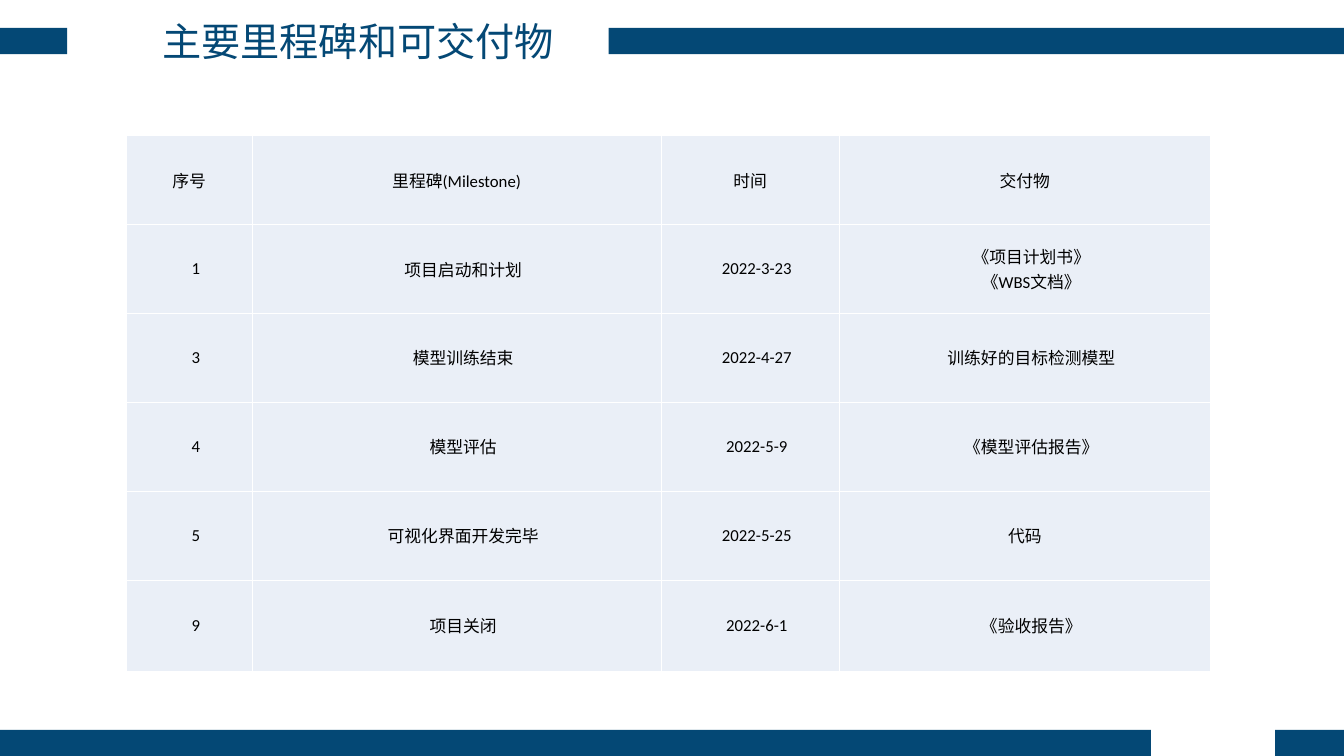
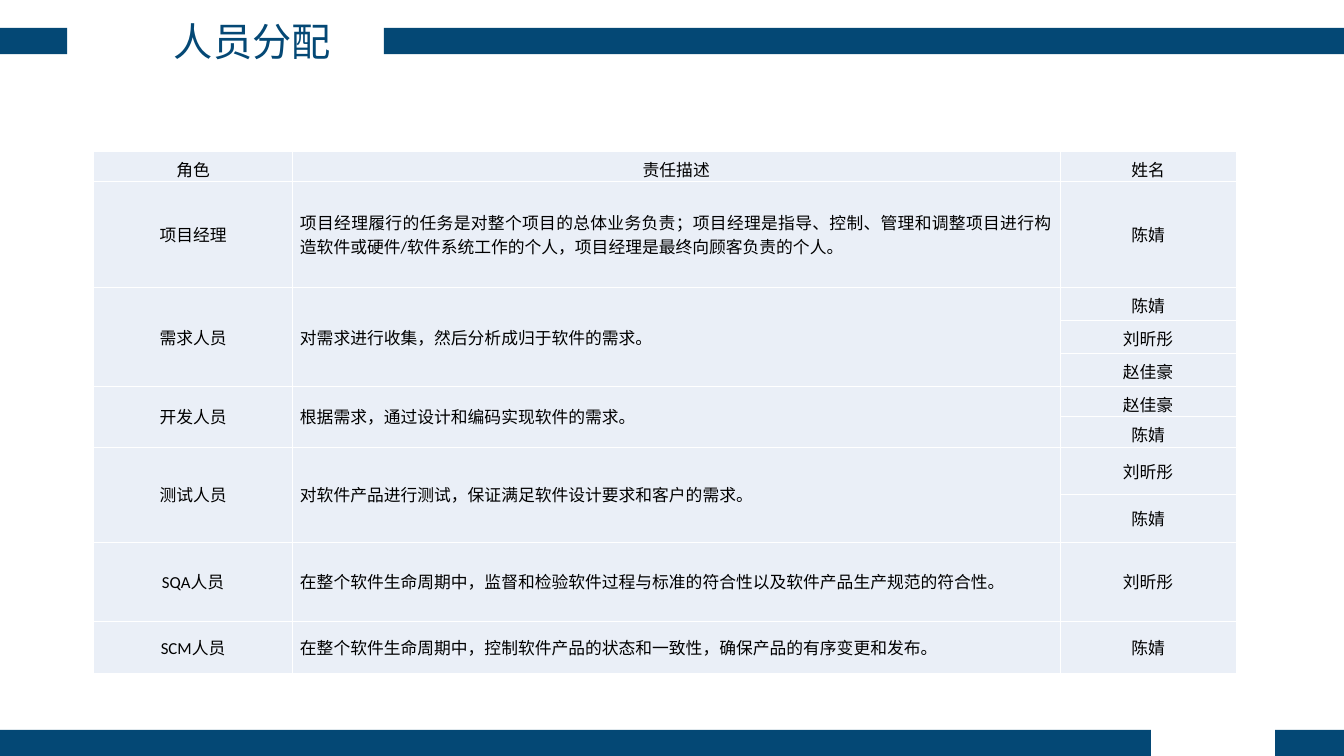
from dataclasses import dataclass

from lxml import etree
from pptx import Presentation
from pptx.dml.color import RGBColor
from pptx.enum.shapes import MSO_SHAPE
from pptx.enum.text import MSO_ANCHOR, MSO_AUTO_SIZE, PP_ALIGN
from pptx.oxml.ns import qn
from pptx.util import Pt

RECTANGLE = MSO_SHAPE.RECTANGLE
TOP, MIDDLE = MSO_ANCHOR.TOP, MSO_ANCHOR.MIDDLE
CENTER, JUSTIFY = PP_ALIGN.CENTER, PP_ALIGN.JUSTIFY
NO_AUTOFIT = MSO_AUTO_SIZE.NONE
TITLE_ONLY = 5
PAGE_WIDTH, PAGE_HEIGHT = 960.5, 540


@dataclass(frozen=True)
class Theme:
    band: str = "044875"
    cell: str = "EAEFF7"
    border: str = "FFFFFF"
    ink: str = "000000"
    title_font: str = "Noto Sans CJK SC"
    body_font: str = "Calibri"
    asian_font: str = "Noto Sans CJK SC"
    title_size: float = 28
    body_size: float = 12
    body_line: float = 17.5
    border_width: float = 0.45
    band_height: float = 18.7
    side_margin: float = 5.4
    row_margin: float = 3.6


class SlideBuilder:
    def __init__(self, theme):
        self.theme = theme
        self.deck = Presentation()
        self.deck.slide_width = Pt(PAGE_WIDTH)
        self.deck.slide_height = Pt(PAGE_HEIGHT)
        self.page = None

    def add_page(self, title, title_width, band_start):
        layout = self.deck.slide_layouts[TITLE_ONLY]
        self.page = self.deck.slides.add_slide(layout)
        # Bands beside the title and along the foot
        foot = PAGE_HEIGHT - self.theme.band_height
        self.band(0, 48, 20)
        self.band(band_start, PAGE_WIDTH, 20)
        self.band(0, 822.5, foot)
        self.band(911.2, PAGE_WIDTH, foot)
        self.title(title, title_width)

    def band(self, start, end, top):
        shape = self.page.shapes.add_shape(
            RECTANGLE, Pt(start), Pt(top), Pt(end - start), Pt(self.theme.band_height))
        shape.shadow.inherit = False
        shape.fill.solid()
        shape.fill.fore_color.rgb = RGBColor.from_string(self.theme.band)
        shape.line.fill.background()

    def title(self, text, width):
        box = self.page.shapes.title
        box.left, box.top, box.width, box.height = Pt(50.4), Pt(8.6), Pt(width), Pt(41)
        frame = box.text_frame
        frame.text = text
        frame.auto_size = NO_AUTOFIT
        frame.vertical_anchor = TOP
        theme = self.theme
        self.format(frame.paragraphs[0], CENTER, theme.title_font, theme.title_size, theme.band)

    def format(self, para, alignment, font_name, size, color):
        para.alignment = alignment
        for span in para.runs:
            span.font.name = font_name
            span.font.size = Pt(size)
            span.font.color.rgb = RGBColor.from_string(color)
            asian = etree.SubElement(span.font._element, qn("a:ea"))
            asian.set("typeface", self.theme.asian_font)

    def table(self, left, top, widths, heights):
        frame = self.page.shapes.add_table(
            len(heights), len(widths), Pt(left), Pt(top), Pt(sum(widths)), Pt(sum(heights)))
        table = frame.table
        table.first_row = table.horz_banding = False
        for column, width in zip(table.columns, widths):
            column.width = Pt(width)
        for row, height in zip(table.rows, heights):
            row.height = Pt(height)
            for cell in row.cells:
                self.style_cell(cell, height)
        return table

    def style_cell(self, cell, height):
        theme = self.theme
        properties = cell._tc.get_or_add_tcPr()
        for side in ("a:lnL", "a:lnR", "a:lnT", "a:lnB"):
            line = etree.SubElement(properties, qn(side), w=str(Pt(theme.border_width)))
            fill = etree.SubElement(line, qn("a:solidFill"))
            etree.SubElement(fill, qn("a:srgbClr"), val=theme.border)
        cell.fill.solid()
        cell.fill.fore_color.rgb = RGBColor.from_string(theme.cell)
        cell.vertical_anchor = MIDDLE
        cell.margin_left = cell.margin_right = Pt(theme.side_margin)
        cell.margin_top = Pt(theme.row_margin)
        # A low row gives up its bottom margin so that its line still fits
        spare = height - theme.body_line - theme.row_margin
        cell.margin_bottom = Pt(min(max(spare, 0), theme.row_margin))

    def merge_down(self, table, first, last, column):
        cell = table.cell(first, column)
        cell.merge(table.cell(last, column))
        cell.margin_bottom = Pt(self.theme.row_margin)

    def cell_text(self, cell, text, alignment=CENTER, indent=0):
        cell.text_frame.text = text
        theme = self.theme
        for para in cell.text_frame.paragraphs:
            self.format(para, alignment, theme.body_font, theme.body_size, theme.ink)
            if indent:
                para._p.get_or_add_pPr().set("marL", str(Pt(indent)))


MILESTONES = [
    ("序号", "里程碑(Milestone)", "时间", "交付物"),
    ("1", "项目启动和计划", "2022-3-23", "《项目计划书》\n《WBS文档》"),
    ("3", "模型训练结束", "2022-4-27", "训练好的目标检测模型"),
    ("4", "模型评估", "2022-5-9", "《模型评估报告》"),
    ("5", "可视化界面开发完毕", "2022-5-25", "代码"),
    ("9", "项目关闭", "2022-6-1", "《验收报告》"),
]

# Role, duty, then the people with the height of each one's row
ROLES = [
    ("项目经理",
     "项目经理履行的任务是对整个项目的总体业务负责；项目经理是指导、控制、管理和调整项目进行"
     "构造软件或硬件/软件系统工作的个人，项目经理是最终向顾客负责的个人。",
     [("陈婧", 76)]),
    ("需求人员", "对需求进行收集，然后分析成归于软件的需求。",
     [("陈婧", 23.6), ("刘昕彤", 23.6), ("赵佳豪", 23.6)]),
    ("开发人员", "根据需求，通过设计和编码实现软件的需求。",
     [("赵佳豪", 21.6), ("陈婧", 21.6)]),
    ("测试人员", "对软件产品进行测试，保证满足软件设计要求和客户的需求。",
     [("刘昕彤", 34), ("陈婧", 34)]),
    ("SQA人员", "在整个软件生命周期中，监督和检验软件过程与标准的符合性以及软件产品生产规范的符合性。",
     [("刘昕彤", 56.4)]),
    ("SCM人员", "在整个软件生命周期中，控制软件产品的状态和一致性，确保产品的有序变更和发布。",
     [("陈婧", 37.5)]),
]


def add_milestones(builder):
    builder.add_page("主要里程碑和可交付物", 411, 435)
    table = builder.table(90.2, 96.7, [90, 292.3, 127.4, 265], [63.5] * 5 + [65.5])
    for row, texts in enumerate(MILESTONES):
        for column, text in enumerate(texts):
            indent = 0 if row == 0 or text == "代码" else 9.4
            builder.cell_text(table.cell(row, column), text, indent=indent)


def add_staffing(builder):
    builder.add_page("人员分配", 259.7, 274.3)
    heights = [21.1] + [height for _, _, people in ROLES for _, height in people]
    table = builder.table(67, 108.2, [142, 548.6, 125.8], heights)
    for column, heading in enumerate(("角色", "责任描述", "姓名")):
        builder.cell_text(table.cell(0, column), heading)
    row = 1
    for role, duty, people in ROLES:
        last = row + len(people) - 1
        if last > row:
            for column in (0, 1):
                builder.merge_down(table, row, last, column)
        builder.cell_text(table.cell(row, 0), role)
        builder.cell_text(table.cell(row, 1), duty, JUSTIFY)
        for offset, (name, _) in enumerate(people):
            builder.cell_text(table.cell(row + offset, 2), name)
        row = last + 1


def main():
    builder = SlideBuilder(Theme())
    add_milestones(builder)
    add_staffing(builder)
    builder.deck.save("out.pptx")


if __name__ == "__main__":
    main()
